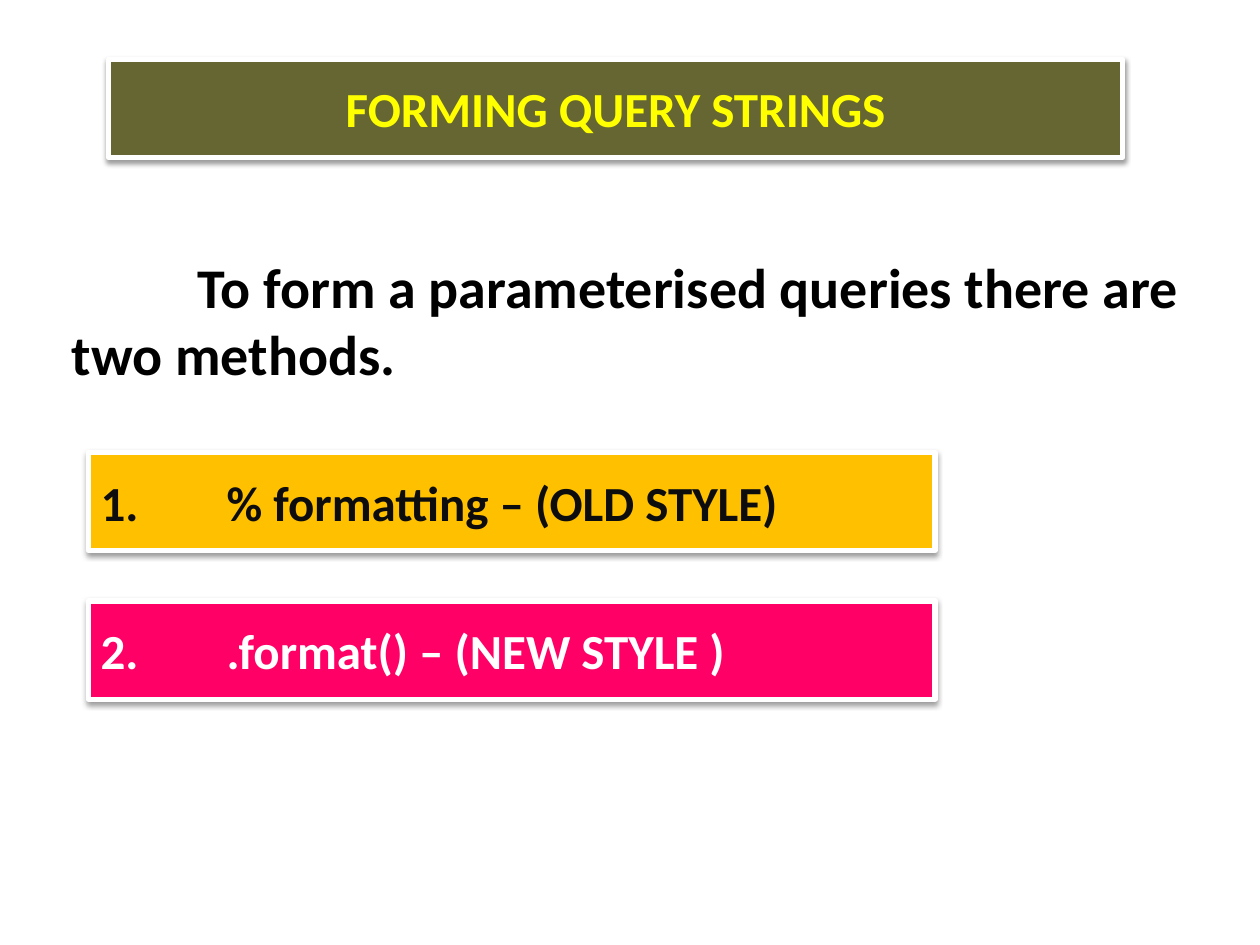
from lxml.etree import SubElement
from pptx import Presentation
from pptx.dml.color import RGBColor
from pptx.enum.shapes import MSO_SHAPE
from pptx.enum.text import MSO_ANCHOR, MSO_AUTO_SIZE, PP_ALIGN
from pptx.oxml.ns import qn
from pptx.util import Inches, Pt

theme = {
    "font": "Calibri", "lead": 32, "label": 28, "edge": 3,
    "white": "FFFFFF", "black": "000000", "ink": "0D0D0D",
    "olive": "666633", "yellow": "FFFF00", "amber": "FFC000", "pink": "FF0066",
}


def write(shape, text, size, color, align=PP_ALIGN.LEFT, anchor=MSO_ANCHOR.MIDDLE):
    frame = shape.text_frame
    frame.word_wrap = True
    frame.auto_size = MSO_AUTO_SIZE.NONE
    frame.vertical_anchor = anchor
    para = frame.paragraphs[0]
    para.alignment = align
    para.space_before = Pt(0)
    props = para._p.get_or_add_pPr()
    props.set("marL", "0")
    props.set("indent", "0")
    props.set("defTabSz", str(Inches(1)))
    SubElement(props, qn("a:buNone"))
    run = para.add_run()
    run.text = text
    run.font.name = theme["font"]
    run.font.size = Pt(theme[size])
    run.font.bold = True
    run.font.color.rgb = RGBColor.from_string(theme[color])


def paint(shape, fill):
    shape.fill.solid()
    shape.fill.fore_color.rgb = RGBColor.from_string(theme[fill])
    shape.line.color.rgb = RGBColor.from_string(theme["white"])
    shape.line.width = Pt(theme["edge"])
    shape.shadow.inherit = False
    glow = SubElement(shape._element.spPr.find(qn("a:effectLst")), qn("a:outerShdw"),
                      blurRad=str(Pt(3.1)), dist=str(Pt(1.6)), dir="5400000", rotWithShape="0")
    tint = SubElement(glow, qn("a:srgbClr"), val=theme["black"])
    SubElement(tint, qn("a:alpha"), val="38000")


deck = Presentation()
deck.slide_width, deck.slide_height = Inches(10), Inches(7.5)
slide = deck.slides.add_slide(deck.slide_layouts[1])
title, body = slide.placeholders
tall = Inches(0.78)

body.left, body.top, body.width, body.height = Inches(0.47), Inches(1.95), Inches(9.14), Inches(1.18)
write(body, "\tTo form a parameterised queries there are two methods.",
      "lead", "black", anchor=MSO_ANCHOR.TOP)

title.left, title.top, title.width, title.height = Inches(0.86), Inches(0.47), Inches(8.05), tall
paint(title, "olive")
write(title, "FORMING QUERY STRINGS", "label", "yellow", PP_ALIGN.CENTER)

styles = [
    ("1.\t% formatting – (OLD STYLE)", "amber", "ink"),
    ("2.\t.format() – (NEW STYLE )", "pink", "white"),
]
first, step = 3.59, 1.18
for row, (text, fill, color) in enumerate(styles):
    bar = slide.shapes.add_shape(MSO_SHAPE.RECTANGLE, Inches(0.7), Inches(first + row * step),
                                 Inches(6.72), tall)
    paint(bar, fill)
    write(bar, text, "label", color)

deck.save("out.pptx")
